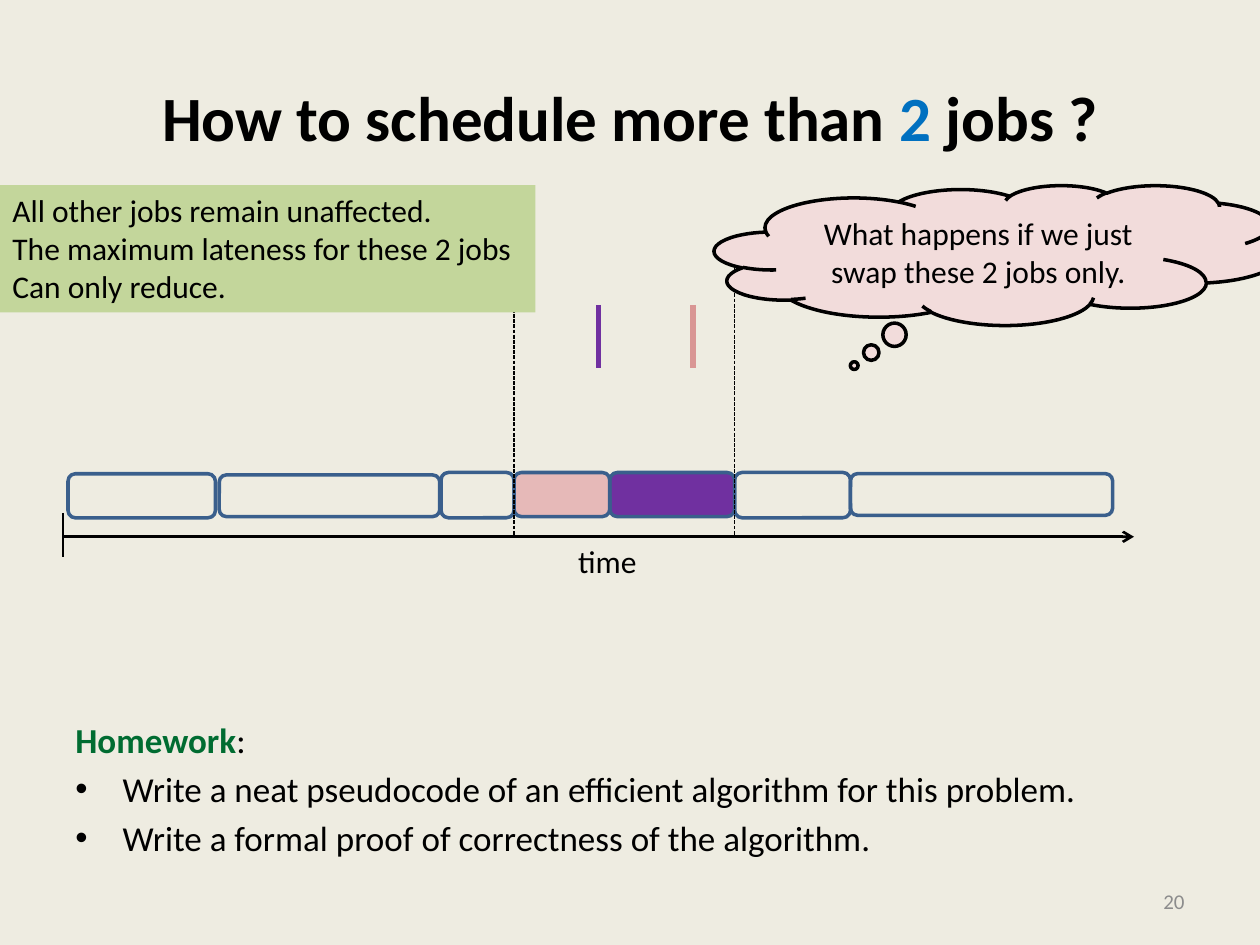
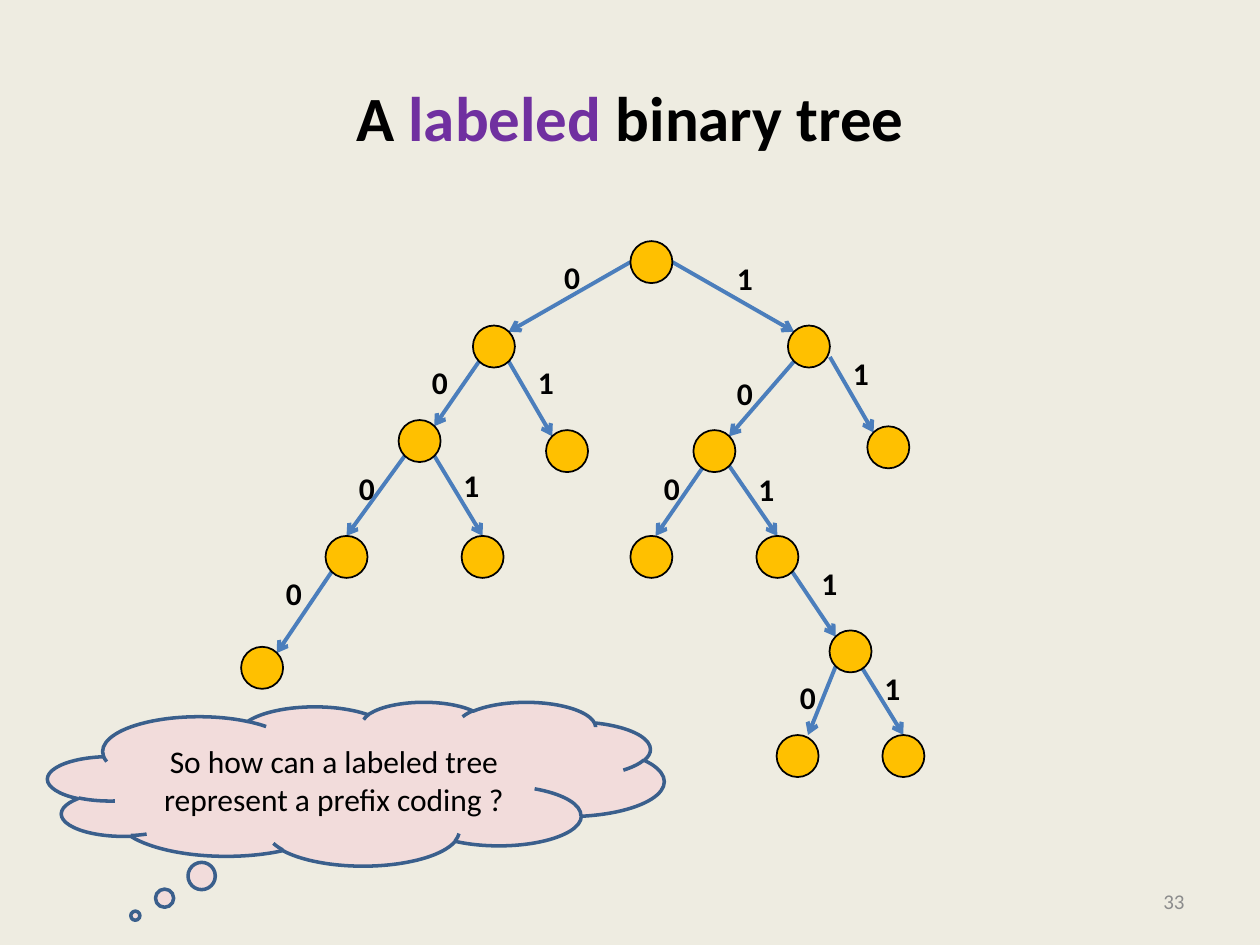
from lxml import etree
from pptx import Presentation
from pptx.dml.color import RGBColor
from pptx.enum.dml import MSO_LINE
from pptx.enum.shapes import MSO_CONNECTOR, MSO_SHAPE as SHAPE
from pptx.enum.text import MSO_ANCHOR as ANCHOR, MSO_AUTO_SIZE, PP_ALIGN as ALIGN
from pptx.oxml.ns import qn
from pptx.util import Inches, Pt

WIDTH, HEIGHT = 10, 7.5
MARGIN = 0.5
FONT = "Calibri"
PAPER, BLACK, GREY = "EEECE1", "000000", "8C8C8C"
PURPLE, BLUE, GREEN = "7030A0", "0070C0", "006C31"
OUTLINE, EDGE, GOLD = "3A5F8C", "4B7EBC", "FFC000"
PINK, ROSE, BLUSH, LIME = "E6B9B8", "D99694", "F2DCDB", "C3D69B"

SCHEDULE = {
    "title": [("How to schedule more than ", BLACK), ("2", BLUE), (" jobs ?", BLACK)],
    "number": "20",
    "cloud": ("What happens if we just swap these 2 jobs only.",
              (5.67, 1.47, 4.51, 1.11), (-0.254, 0.79), BLACK),
}
TREE = {
    "title": [("A ", BLACK), ("labeled", PURPLE), (" binary tree", BLACK)],
    "number": "33",
    "cloud": ("So how can a labeled tree represent a prefix coding ?",
              (0.38, 5.57, 4.89, 1.3), (-0.358, 0.806), OUTLINE),
}

# start, end, top, height, fill
JOBS = [
    (0.54, 1.71, 3.76, 0.35, None),
    (6.75, 8.83, 3.76, 0.33, None),
    (1.74, 3.49, 3.77, 0.33, None),
    (3.5, 4.08, 3.75, 0.36, None),
    (4.84, 5.83, 3.75, 0.35, PURPLE),
    (4.08, 4.84, 3.75, 0.35, PINK),
    (5.83, 6.75, 3.75, 0.36, None),
]
SWAP_BOUNDS = (4.08, 5.83)
DEADLINES = [(5.5, ROSE), (4.75, PURPLE)]
AXIS_Y = 4.26
EFFECT = ["All other jobs remain unaffected.",
          "The maximum lateness for these 2 jobs",
          "Can only reduce."]
HOMEWORK = ["Write a neat pseudocode of an efficient algorithm for this problem.",
            "Write a formal proof of correctness of the algorithm."]

# Where an edge meets a node, in radii from its centre
PORTS = {
    "left": (-1, 0), "right": (1, 0), "top": (0, -1),
    "top left": (-0.7, -0.7), "top right": (0.7, -0.7),
    "bottom left": (-0.7, 0.7), "bottom right": (0.7, 0.7),
    "low right": (1, 0.5), "low left": (-0.5, 0.7), "under right": (0.5, 0.7),
    "near top": (0.2, -1), "steep top": (0.5, -1),
}
RADIUS = 1 / 6
ROOT = (5.17, 2.08)
# path of bits: centre, port on parent, port on node, corner of the label
NODES = {
    "0": ((3.92, 2.75), "left", "top right", (4.38, 2)),
    "1": ((6.42, 2.75), "right", "top left", (5.75, 2.01)),
    "00": ((3.33, 3.5), "bottom left", "top right", (3.33, 2.83)),
    "01": ((4.5, 3.58), "bottom right", "top left", (4.17, 2.83)),
    "10": ((5.67, 3.58), "bottom left", "top right", (5.75, 2.92)),
    "11": ((7.05, 3.55), "low right", "top left", (6.67, 2.76)),
    "000": ((2.75, 4.42), "bottom left", "top", (2.75, 3.67)),
    "001": ((3.83, 4.42), "bottom right", "top", (3.58, 3.65)),
    "100": ((5.17, 4.42), "low left", "near top", (5.17, 3.67)),
    "101": ((6.17, 4.42), "bottom right", "top", (5.92, 3.68)),
    "0000": ((2.08, 5.3), "bottom left", "top right", (2.17, 4.51)),
    "1011": ((6.75, 5.17), "bottom right", "top left", (6.42, 4.43)),
    "10110": ((6.33, 6), "bottom left", "steep top", (6.25, 5.33)),
    "10111": ((7.17, 6), "under right", "top", (6.92, 5.26)),
}


def rgb(color):
    return RGBColor.from_string(color)


def style(font, size, color=BLACK, bold=False):
    font.name, font.size, font.bold = FONT, Pt(size), bold
    font.color.rgb = rgb(color)


def write(shape, paragraphs, size=18, align=ALIGN.LEFT, anchor=ANCHOR.TOP, wrap=True):
    """Fill a shape with paragraphs, each a list of (text, color, bold) runs."""
    tf = shape.text_frame
    tf.word_wrap, tf.vertical_anchor = wrap, anchor
    if not wrap:
        tf.auto_size = MSO_AUTO_SIZE.SHAPE_TO_FIT_TEXT
    for i, runs in enumerate(paragraphs):
        p = tf.add_paragraph() if i else tf.paragraphs[0]
        p.alignment = align
        for text, color, bold in runs:
            r = p.add_run()
            r.text = text
            style(r.font, size, color, bold)
    return tf


def textbox(s, box, paragraphs, **options):
    return write(s.shapes.add_textbox(*map(Inches, box)), paragraphs, **options)


def shape(s, kind, box, fill=None, line=None, weight=2):
    sp = s.shapes.add_shape(kind, *map(Inches, box))
    sp.shadow.inherit = False
    if fill:
        sp.fill.solid()
        sp.fill.fore_color.rgb = rgb(fill)
    else:
        sp.fill.background()
    if line:
        sp.line.color.rgb = rgb(line)
        sp.line.width = Pt(weight)
    else:
        sp.line.fill.background()
    return sp


def line(s, start, end, color=BLACK, weight=1.5, dash=None, arrow=False):
    c = s.shapes.add_connector(MSO_CONNECTOR.STRAIGHT, *map(Inches, (*start, *end)))
    c.line.color.rgb = rgb(color)
    c.line.width = Pt(weight)
    if dash:
        c.line.dash_style = dash
    props = c._element.spPr
    if arrow:
        etree.SubElement(props.find(qn("a:ln")), qn("a:tailEnd"), type="arrow")
    etree.SubElement(props, qn("a:effectLst"))


def cloud(s, text, box, tail, outline):
    sp = shape(s, SHAPE.CLOUD_CALLOUT, box, BLUSH, outline)
    for i, share in enumerate(tail):
        sp.adjustments[i] = share
    write(sp, [[(text, BLACK, False)]], align=ALIGN.CENTER, anchor=ANCHOR.MIDDLE)


def new_slide(prs, content):
    s = prs.slides.add_slide(prs.slide_layouts[6])
    s.background.fill.solid()
    s.background.fill.fore_color.rgb = rgb(PAPER)
    textbox(s, (MARGIN, 0.3, WIDTH - 2 * MARGIN, 1.25),
            [[(text, color, True) for text, color in content["title"]]],
            size=36, align=ALIGN.CENTER, anchor=ANCHOR.MIDDLE)
    textbox(s, (7.17, 6.95, 2.33, 0.4), [[(content["number"], GREY, False)]],
            size=12, align=ALIGN.RIGHT, anchor=ANCHOR.MIDDLE)
    return s


def homework(s):
    heading = [("Homework", GREEN, True), (":", BLACK, False)]
    items = [[(text, BLACK, False)] for text in HOMEWORK]
    tf = textbox(s, (MARGIN, 5.65, WIDTH - 2 * MARGIN, 1.25), [heading] + items, size=20)
    indent = Inches(0.375)
    for p in tf.paragraphs[1:]:
        props = p._p.get_or_add_pPr()
        props.set("marL", str(indent))
        props.set("indent", str(-indent))
        etree.SubElement(props, qn("a:buFont"), typeface="Arial")
        etree.SubElement(props, qn("a:buChar"), char="•")
        p.space_before = Pt(4)


def schedule_slide(prs):
    s = new_slide(prs, SCHEDULE)
    homework(s)
    for start, end, top, height, fill in JOBS:
        shape(s, SHAPE.ROUNDED_RECTANGLE, (start, top, end - start, height), fill, OUTLINE)
    for x in SWAP_BOUNDS:
        line(s, (x, 1.92), (x, AXIS_Y), weight=0.75, dash=MSO_LINE.SQUARE_DOT)
    line(s, (MARGIN, AXIS_Y), (9, AXIS_Y), arrow=True)
    line(s, (MARGIN, 4.07), (MARGIN, 4.42))
    textbox(s, (4.49, 4.25, 0.67, 0.4), [[("time", BLACK, False)]], wrap=False)
    for x, color in DEADLINES:
        line(s, (x, 2.42), (x, 2.92), color, 3)
    cloud(s, *SCHEDULE["cloud"])
    note = shape(s, SHAPE.RECTANGLE, (0, 1.47, 4.25, 1.01), LIME)
    write(note, [[(text, BLACK, False)] for text in EFFECT])


def port(centre, name):
    return [c + RADIUS * d for c, d in zip(centre, PORTS[name])]


def tree_slide(prs):
    s = new_slide(prs, TREE)
    centres = {"": ROOT} | {bits: node[0] for bits, node in NODES.items()}
    for bits, (centre, leave, arrive, _) in NODES.items():
        line(s, port(centres[bits[:-1]], leave), port(centre, arrive),
             EDGE, 2.25, arrow=True)
    for x, y in centres.values():
        shape(s, SHAPE.OVAL, (x - RADIUS, y - RADIUS, 2 * RADIUS, 2 * RADIUS),
              GOLD, BLACK, 1)
    for bits, (*_, corner) in NODES.items():
        textbox(s, (*corner, 0.33, 0.4), [[(bits[-1], BLACK, True)]], wrap=False)
    cloud(s, *TREE["cloud"])


def main():
    prs = Presentation()
    prs.slide_width, prs.slide_height = Inches(WIDTH), Inches(HEIGHT)
    schedule_slide(prs)
    tree_slide(prs)
    prs.save("out.pptx")


if __name__ == "__main__":
    main()
